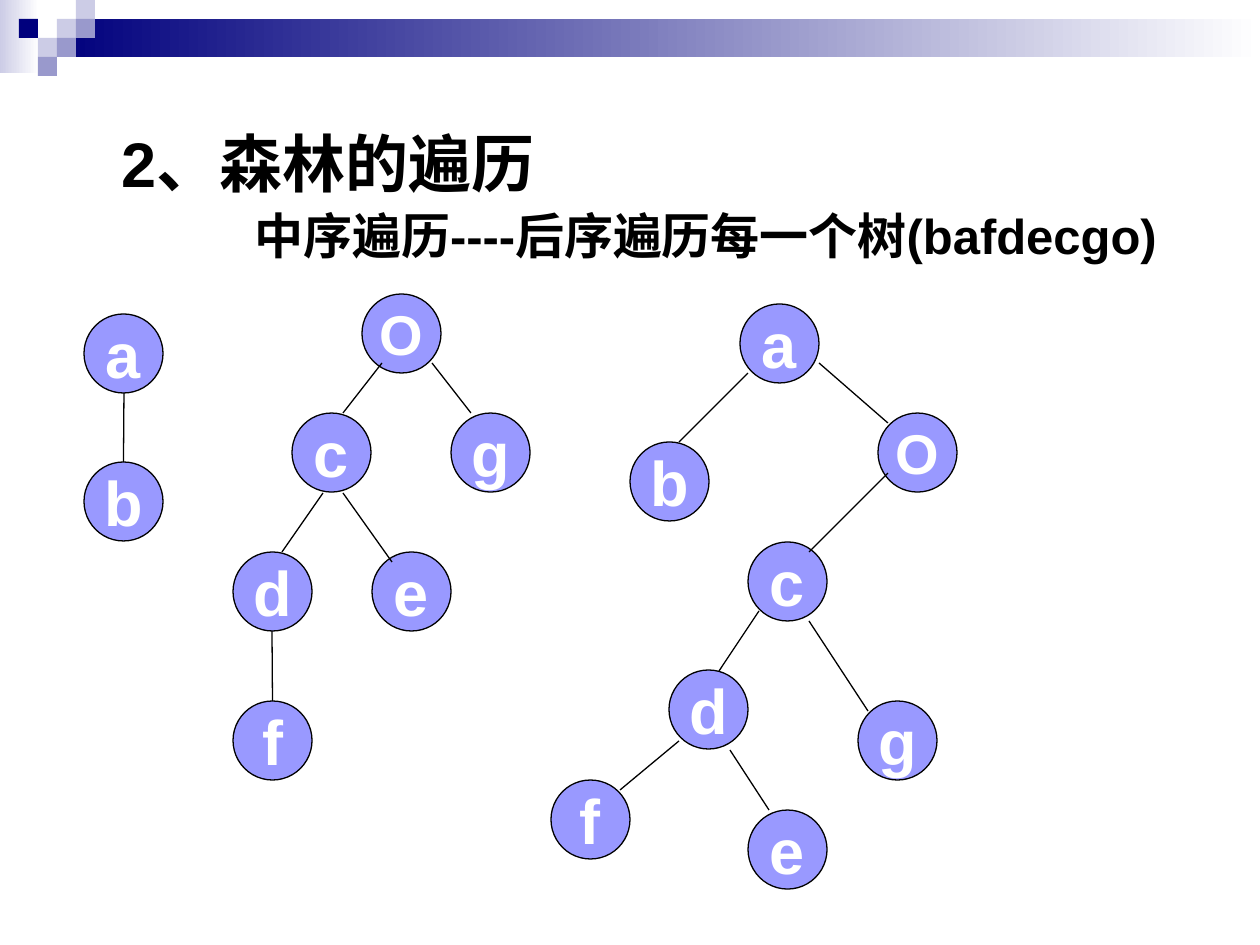
from dataclasses import dataclass

from lxml.etree import SubElement
from pptx import Presentation
from pptx.dml.color import RGBColor
from pptx.enum.shapes import MSO_CONNECTOR as Connector, MSO_SHAPE as Shape
from pptx.enum.text import MSO_ANCHOR as Anchor, PP_ALIGN as Align
from pptx.oxml.ns import qn
from pptx.util import Pt

EMU_PER_PX = 914400 / 126


@dataclass(frozen=True)
class Theme:
    navy: str = "00007D"
    slate: str = "9999CC"
    pale: str = "CCCCE6"
    white: str = "FFFFFF"
    ink: str = "000000"
    node: str = "9999FF"
    font: str = "Arial"
    title: int = 36
    subtitle: int = 28
    label: int = 36
    root_label: int = 32
    hairline: float = 0.75


def px(length):
    return round(length * EMU_PER_PX)


class TreeSlide:
    NODE = 79

    def __init__(self, deck, theme):
        self.theme = theme
        self.shapes = deck.slides.add_slide(deck.slide_layouts[6]).shapes

    def block(self, left, top, width, height, color, fade_to=None):
        """Borderless rectangle, plain or fading from left to right."""
        block = self.shapes.add_shape(Shape.RECTANGLE, *map(px, (left, top, width, height)))
        block.shadow.inherit = False
        block.line.fill.background()
        if fade_to:
            block.fill.gradient()
            block.fill.gradient_angle = 0
            for stop, shade in zip(block.fill.gradient_stops, (color, fade_to)):
                stop.color.rgb = RGBColor.from_string(shade)
        else:
            block.fill.solid()
            block.fill.fore_color.rgb = RGBColor.from_string(color)

    def add_text(self, frame, text, size, color, align):
        paragraph = frame.paragraphs[0]
        paragraph.alignment = align
        run = paragraph.add_run()
        run.text = text
        run.font.name = self.theme.font
        run.font.size = Pt(size)
        run.font.bold = True
        run.font.color.rgb = RGBColor.from_string(color)

    def heading(self, left, top, width, height, text, size, align, anchor):
        frame = self.shapes.add_textbox(*map(px, (left, top, width, height))).text_frame
        frame.word_wrap = True
        frame.vertical_anchor = anchor
        self.add_text(frame, text, size, self.theme.ink, align)

    def node(self, letter, left, top):
        circle = self.shapes.add_shape(Shape.OVAL, px(left), px(top), px(self.NODE), px(self.NODE))
        circle.shadow.inherit = False
        circle.fill.solid()
        circle.fill.fore_color.rgb = RGBColor.from_string(self.theme.node)
        circle.line.color.rgb = RGBColor.from_string(self.theme.ink)
        circle.line.width = Pt(self.theme.hairline)
        frame = circle.text_frame
        frame.word_wrap = False
        frame.vertical_anchor = Anchor.MIDDLE
        size = self.theme.root_label if letter == "O" else self.theme.label
        self.add_text(frame, letter, size, self.theme.white, Align.CENTER)
        return circle

    def edge(self, x1, y1, x2, y2, child=None):
        """Straight line, joined to the top of child when one is given."""
        edge = self.shapes.add_connector(Connector.STRAIGHT, *map(px, (x1, y1, x2, y2)))
        edge.line.color.rgb = RGBColor.from_string(self.theme.ink)
        edge.line.width = Pt(self.theme.hairline)
        SubElement(edge._element.spPr, qn("a:effectLst"))
        if child is not None:
            edge.end_connect(child, 0)

    def tree(self, nodes, edges):
        """Draw nodes as letter: (left, top), then edges as (child, x1, y1, x2, y2)."""
        circles = {letter: self.node(letter, *corner) for letter, corner in nodes.items()}
        for child, x1, y1, x2, y2 in edges:
            self.edge(x1, y1, x2, y2, circles[child] if x1 == x2 else None)


FOREST_NODES = {
    "O": (362, 294), "a": (84, 314), "c": (292, 413), "g": (451, 413),
    "b": (84, 462), "d": (233, 552), "e": (372, 552), "f": (233, 701),
}
FOREST_EDGES = [
    ("b", 124, 393, 124, 462),
    ("c", 382, 363, 343, 413),
    ("g", 432, 363, 471, 413),
    ("d", 323, 493, 282, 552),
    ("e", 343, 493, 392, 562),
    ("f", 272, 631, 272, 701),
]
BINARY_NODES = {
    "a": (740, 304), "b": (630, 442), "O": (878, 413), "c": (748, 542),
    "g": (858, 701), "d": (669, 670), "e": (748, 810), "f": (551, 780),
}
BINARY_EDGES = [
    ("b", 748, 373, 679, 442),
    ("O", 819, 363, 888, 423),
    ("c", 888, 473, 809, 552),
    ("d", 759, 611, 719, 671),
    ("g", 809, 621, 868, 711),
    ("f", 679, 741, 620, 790),
    ("e", 730, 750, 769, 810),
]
DOTS = [(917, 354), (868, 611)]


def main():
    deck = Presentation()
    deck.slide_width, deck.slide_height = px(1260), px(945)
    theme = Theme()
    slide = TreeSlide(deck, theme)

    slide.block(0, 0, 39, 73, theme.pale, fade_to=theme.white)
    slide.block(57, 19, 1203, 38, theme.navy, fade_to=theme.white)
    tile = 19
    mosaic = [
        (3, 1, theme.pale), (4, 0, theme.pale), (4, 1, theme.slate), (2, 2, theme.pale),
        (1, 1, theme.navy), (3, 2, theme.slate), (2, 3, theme.slate),
    ]
    for column, row, color in mosaic:
        slide.block(column * tile, row * tile, tile, tile, color)

    slide.heading(-252, 126, 1160, 73, "2、森林的遍历", theme.title, Align.CENTER, Anchor.MIDDLE)
    slide.heading(242, 199, 1018, 72, "中序遍历----后序遍历每一个树(bafdecgo)",
                  theme.subtitle, Align.LEFT, Anchor.TOP)
    slide.tree(FOREST_NODES, FOREST_EDGES)
    slide.tree(BINARY_NODES, BINARY_EDGES)
    for x, y in DOTS:
        slide.edge(x, y, x, y)

    deck.save("out.pptx")


if __name__ == "__main__":
    main()
